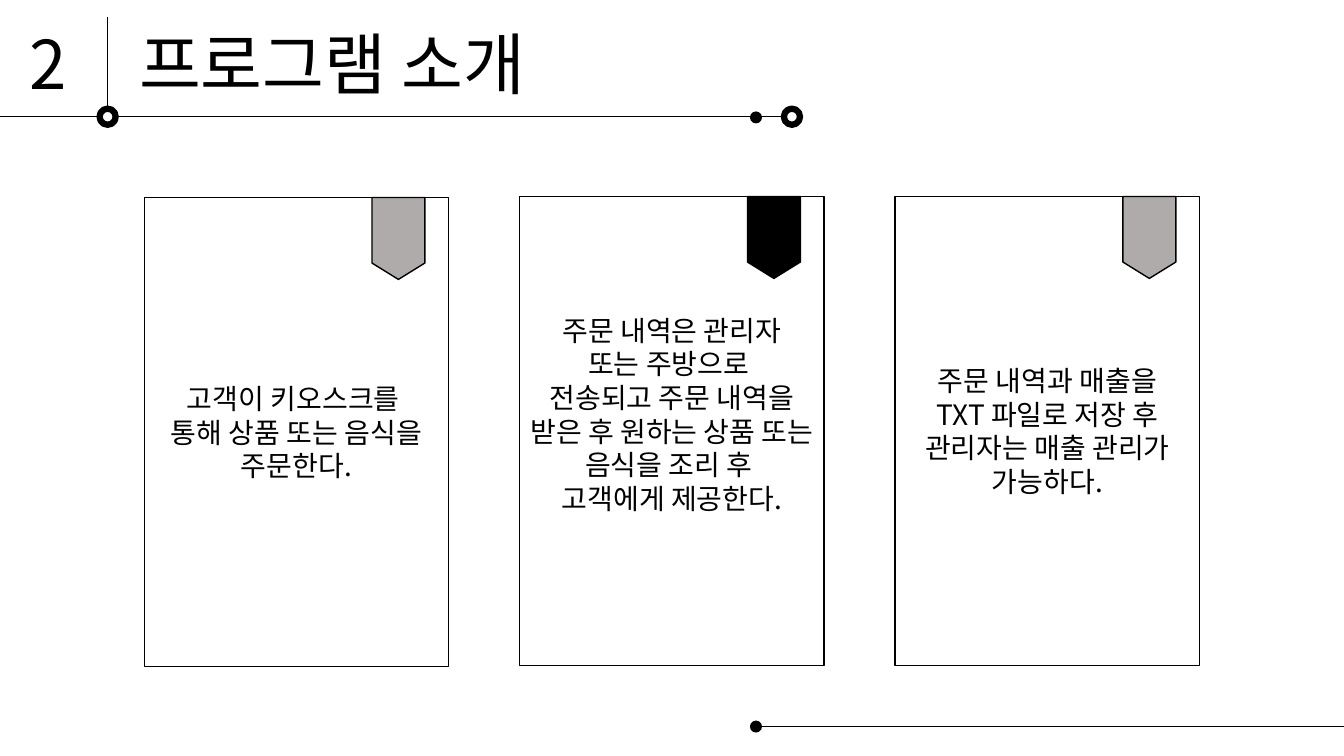
from lxml import etree
from pptx import Presentation
from pptx.dml.color import RGBColor
from pptx.enum.shapes import MSO_CONNECTOR, MSO_SHAPE
from pptx.enum.text import MSO_ANCHOR, MSO_AUTO_SIZE, PP_ALIGN
from pptx.oxml.ns import qn
from pptx.util import Pt

RECT, OVAL = MSO_SHAPE.RECTANGLE, MSO_SHAPE.OVAL
TAG = MSO_SHAPE.FLOWCHART_OFFPAGE_CONNECTOR
STRAIGHT = MSO_CONNECTOR.STRAIGHT
CENTER, MIDDLE = PP_ALIGN.CENTER, MSO_ANCHOR.MIDDLE
FONT = "Noto Sans CJK KR"
COLORS = {"ink": "000000", "paper": "FFFFFF", "grey": "AFABAB"}
SLIDE_W, SLIDE_H = 960, 540
DOT_X = 540
CARD_W, CARD_H, CARD_PITCH = 217.5, 334.8, 268.2
CARDS = [
    (141.1, "grey", 0, ["고객이 키오스크를 ", "통해 상품 또는 음식을", "주문한다."]),
    (140.4, "ink", 24, ["주문 내역은 관리자", "또는 주방으로 ",
                        "전송되고 주문 내역을 받은 후 원하는 상품 또는 음식을 조리 후 ",
                        "고객에게 제공한다."]),
    (140.4, "grey", 0, ["주문 내역과 매출을", "TXT 파일로 저장 후",
                        "관리자는 매출 관리가", "가능하다."]),
]


def rgb(name):
    return RGBColor.from_string(COLORS[name])


def add_line(slide, x1, y1, x2, y2):
    line = slide.shapes.add_connector(STRAIGHT, Pt(x1), Pt(y1), Pt(x2), Pt(y2))
    line.line.color.rgb = rgb("ink")
    line.line.width = Pt(0.5)
    etree.SubElement(line._element.spPr, qn("a:effectLst"))


def add_shape(slide, kind, x, y, w, h, fill, line_width):
    sp = slide.shapes.add_shape(kind, Pt(x), Pt(y), Pt(w), Pt(h))
    sp.shadow.inherit = False
    sp.fill.solid()
    sp.fill.fore_color.rgb = rgb(fill)
    if line_width:
        sp.line.color.rgb = rgb("ink")
        sp.line.width = Pt(line_width)
    else:
        sp.line.fill.background()
    return sp


def add_dot(slide, cx, cy):
    add_shape(slide, OVAL, cx - 4.3, cy - 4.3, 8.6, 8.6, "ink", 0)


def add_ring(slide, cx, cy):
    add_shape(slide, OVAL, cx - 5.75, cy - 5.75, 11.5, 11.5, "paper", 4.5)


def format_text(tf, size):
    for p in tf.paragraphs:
        for r in p.runs:
            r.font.size = Pt(size)
            r.font.name = FONT
            r.font.color.rgb = rgb("ink")
            ea = etree.SubElement(r._r.get_or_add_rPr(), qn("a:ea"))
            ea.set("typeface", FONT)


def add_heading(slide, x, y, w, h, text):
    tf = slide.shapes.add_textbox(Pt(x), Pt(y), Pt(w), Pt(h)).text_frame
    tf.word_wrap = False
    tf.auto_size = MSO_AUTO_SIZE.SHAPE_TO_FIT_TEXT
    tf.text = text
    format_text(tf, 48)


def add_header(slide, x, y, w, h, number, title):
    """Number and title above a rule that closes the box."""
    rule_y, divider_x = y + h, x + 76.6
    add_line(slide, x, rule_y, x + w, rule_y)
    add_dot(slide, DOT_X, rule_y + 0.5)
    add_ring(slide, x + w - 5.5, rule_y)
    add_ring(slide, divider_x + 0.3, rule_y)
    add_line(slide, divider_x, y, divider_x, rule_y - 5.75)
    add_heading(slide, divider_x + 15.6, y, 322.6, 65.5, title)
    add_heading(slide, x + 13.7, y, 41, 65.5, number)


def add_footer(slide, y):
    add_line(slide, DOT_X, y, SLIDE_W, y)
    add_dot(slide, DOT_X, y)


def add_card(slide, x, y, w, h, tag_color, raise_by, lines):
    """Framed text with a tag; raise_by is extra space under the text."""
    sp = add_shape(slide, RECT, x, y, w, h, "paper", 1)
    tf = sp.text_frame
    tf.word_wrap = True
    tf.vertical_anchor = MIDDLE
    tf.margin_bottom = Pt(3.6 + raise_by)
    tf.text = "\n".join(lines)
    for p in tf.paragraphs:
        p.alignment = CENTER
    format_text(tf, 20)
    add_shape(slide, TAG, x + w - 54.8, y, 37.8, 58.5, tag_color, 1)


def main():
    prs = Presentation()
    prs.slide_width, prs.slide_height = Pt(SLIDE_W), Pt(SLIDE_H)
    slide = prs.slides.add_slide(prs.slide_layouts[6])
    add_header(slide, 0, 12.2, 571.2, 71.2, "2", "프로그램 소개")
    add_footer(slide, 519)
    for i, (top, tag_color, raise_by, lines) in enumerate(CARDS):
        add_card(slide, 103 + i * CARD_PITCH, top, CARD_W, CARD_H,
                 tag_color, raise_by, lines)
    prs.save("out.pptx")


if __name__ == "__main__":
    main()
